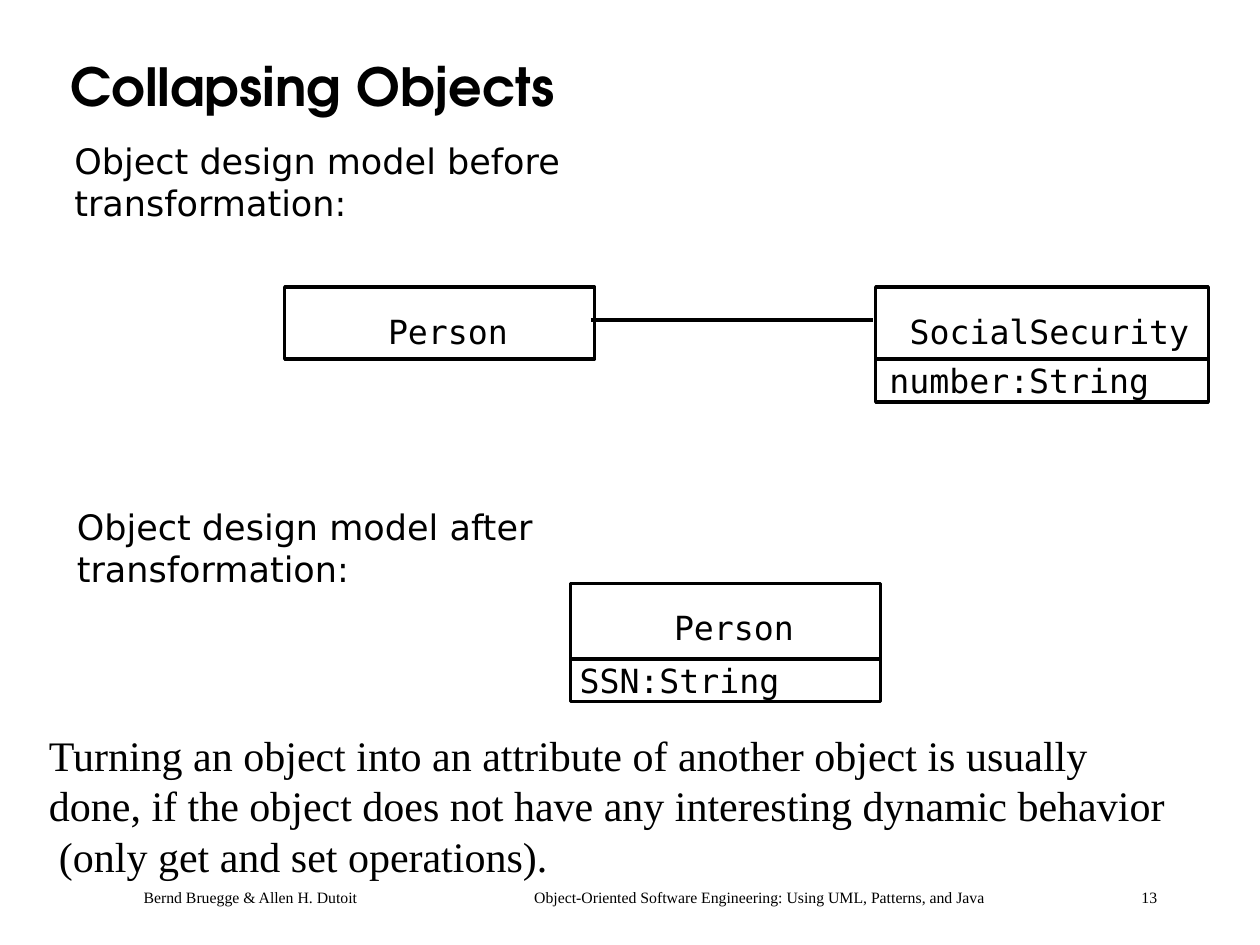
from lxml import etree
from pptx import Presentation
from pptx.dml.color import RGBColor
from pptx.enum.shapes import MSO_CONNECTOR, MSO_SHAPE
from pptx.enum.text import MSO_ANCHOR, MSO_AUTO_SIZE, PP_ALIGN
from pptx.oxml.ns import qn
from pptx.util import Inches, Pt

RECTANGLE = MSO_SHAPE.RECTANGLE
STRAIGHT = MSO_CONNECTOR.STRAIGHT
LEFT = PP_ALIGN.LEFT
TOP, MIDDLE = MSO_ANCHOR.TOP, MSO_ANCHOR.MIDDLE
NO_FIT = MSO_AUTO_SIZE.NONE

COLORS = {"ink": "000000"}
INK = RGBColor.from_string(COLORS["ink"])
LINE_WIDTH = Pt(2)
PADDING = (0.1, 0.05, 0.1, 0.05)
NO_PADDING = (0, 0, 0, 0)

STYLES = {
    "title": {"name": "TeX Gyre Adventor", "size": Pt(30), "bold": True},
    "heading": {"name": "DejaVu Sans", "size": Pt(20)},
    "class": {"name": "DejaVu Sans Mono", "size": Pt(19)},
    "remark": {"name": "Times New Roman", "size": Pt(24)},
    "footer": {"name": "Times New Roman", "size": Pt(9)},
}


def style_paragraph(para, style):
    para.alignment = LEFT
    for name, value in STYLES[style].items():
        setattr(para.font, name, value)
    para.font.color.rgb = INK


def format_frame(frame, padding, wrap=True, anchor=TOP):
    sides = ("left", "top", "right", "bottom")
    for side, length in zip(sides, padding):
        setattr(frame, f"margin_{side}", Inches(length))
    frame.word_wrap = wrap
    frame.auto_size = NO_FIT
    frame.vertical_anchor = anchor


def add_text(slide, place, lines, style, padding=NO_PADDING, wrap=True):
    box = slide.shapes.add_textbox(*map(Inches, place))
    frame = box.text_frame
    format_frame(frame, padding, wrap)
    frame.text = "\n".join(lines)
    for para in frame.paragraphs:
        style_paragraph(para, style)
    return box


def add_title(slide, text):
    title = slide.shapes.title
    title.left, title.top, title.width, title.height = map(
        Inches, (0.46, 0.24, 8.92, 0.94))
    format_frame(title.text_frame, PADDING, anchor=MIDDLE)
    title.text_frame.text = text
    para = title.text_frame.paragraphs[0]
    para.line_spacing = 0.9
    style_paragraph(para, "title")


def add_compartment(slide, place, label, label_place):
    """Draw one outlined part of a class and its label."""
    box = slide.shapes.add_shape(RECTANGLE, *map(Inches, place))
    box.shadow.inherit = False
    box.fill.background()
    box.line.color.rgb = INK
    box.line.width = LINE_WIDTH
    add_text(slide, label_place, [label], "class", wrap=False)


def add_class(slide, place, name, name_left, attribute=None, inset=0):
    """Draw a UML class; name_left and inset are offsets from its left edge."""
    left, top, width, height = place
    add_compartment(slide, place, name,
                    (left + name_left, top + 0.19, width - name_left, 0.32))
    if attribute:
        bottom = top + height
        add_compartment(slide, (left, bottom, width, 0.34), attribute,
                        (left + inset, bottom + 0.01, width - inset, 0.32))


def add_association(slide, start, end):
    line = slide.shapes.add_connector(STRAIGHT, *map(Inches, (*start, *end)))
    line.line.color.rgb = INK
    line.line.width = LINE_WIDTH
    etree.SubElement(line._element.spPr, qn("a:effectLst"))


def add_footer(slide, parts, tab_stops):
    box = add_text(slide, (0.58, 7, 9.17, 0.25), ["\t".join(parts)], "footer",
                   padding=(0.56, 0.05, 0.1, 0.05))
    properties = box.text_frame.paragraphs[0]._p.get_or_add_pPr()
    tabs = etree.Element(qn("a:tabLst"))
    for stop in tab_stops:
        etree.SubElement(tabs, qn("a:tab"), pos=str(Inches(stop)), algn="l")
    properties.find(qn("a:defRPr")).addprevious(tabs)


def add_remark(slide, lines):
    box = add_text(slide, (0.29, 5.74, 9.3, 1.3), lines, "remark", PADDING)
    last = box.text_frame.paragraphs[-1]
    last._p.get_or_add_pPr().set("marL", str(Inches(0.08)))


def main():
    deck = Presentation()
    deck.slide_width, deck.slide_height = Inches(10), Inches(7.5)
    slide = deck.slides.add_slide(deck.slide_layouts[5])

    add_footer(slide, [
        "Bernd Bruegge & Allen H. Dutoit",
        "Object-Oriented Software Engineering: Using UML, Patterns, and Java",
        "13",
    ], tab_stops=(3.1, 7.92))
    add_title(slide, "Collapsing Objects")

    add_text(slide, (0.59, 1.11, 5.84, 0.66),
             ["Object design model before transformation:"], "heading")
    add_class(slide, (2.26, 2.28, 2.46, 0.57), "Person", 0.82)
    add_class(slide, (6.95, 2.28, 2.64, 0.57), "SocialSecurity", 0.27,
              "number:String", 0.11)
    add_association(slide, (4.69, 2.54), (6.93, 2.54))

    add_text(slide, (0.61, 4.01, 5.53, 0.66),
             ["Object design model after transformation:"], "heading")
    add_class(slide, (4.53, 4.63, 2.46, 0.6), "Person", 0.82,
              "SSN:String", 0.07)

    add_remark(slide, [
        "Turning an object into an attribute of another object is usually",
        "done, if the object does not have any interesting dynamic behavior",
        "(only get and set operations).",
    ])
    deck.save("out.pptx")


if __name__ == "__main__":
    main()
